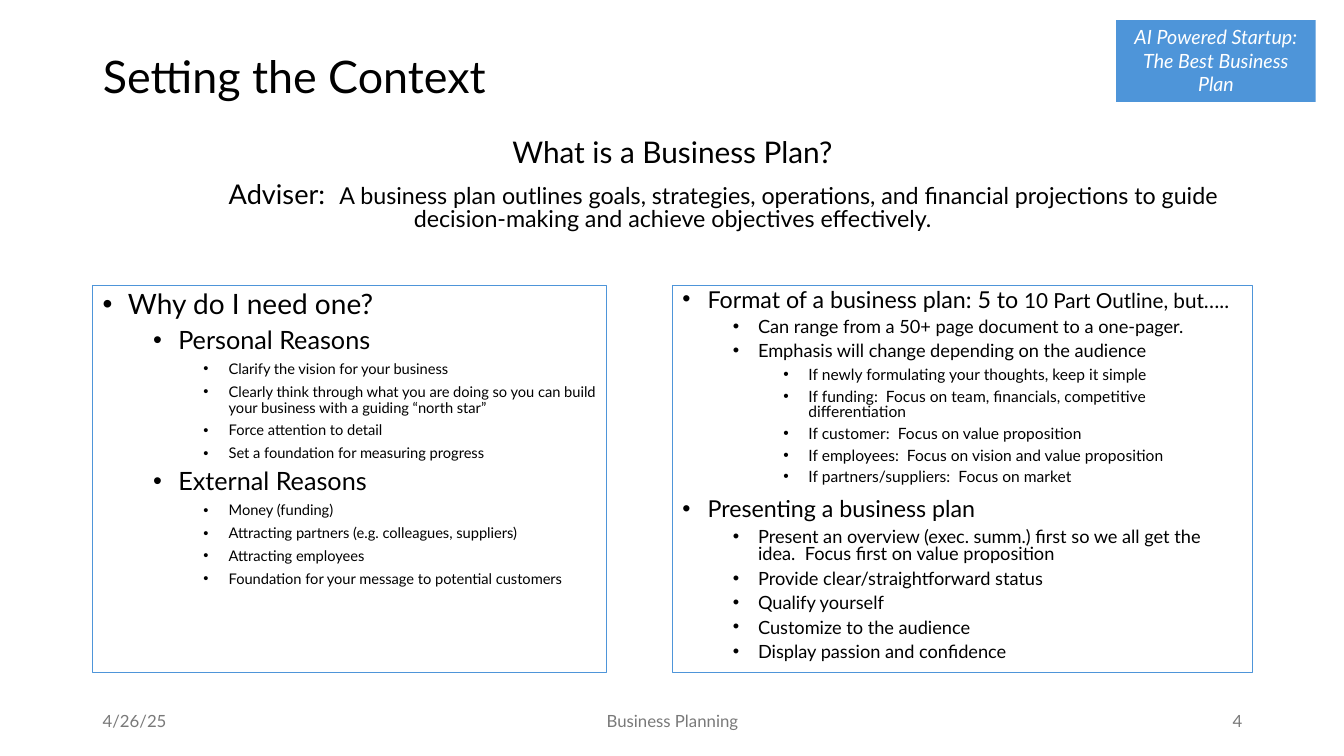
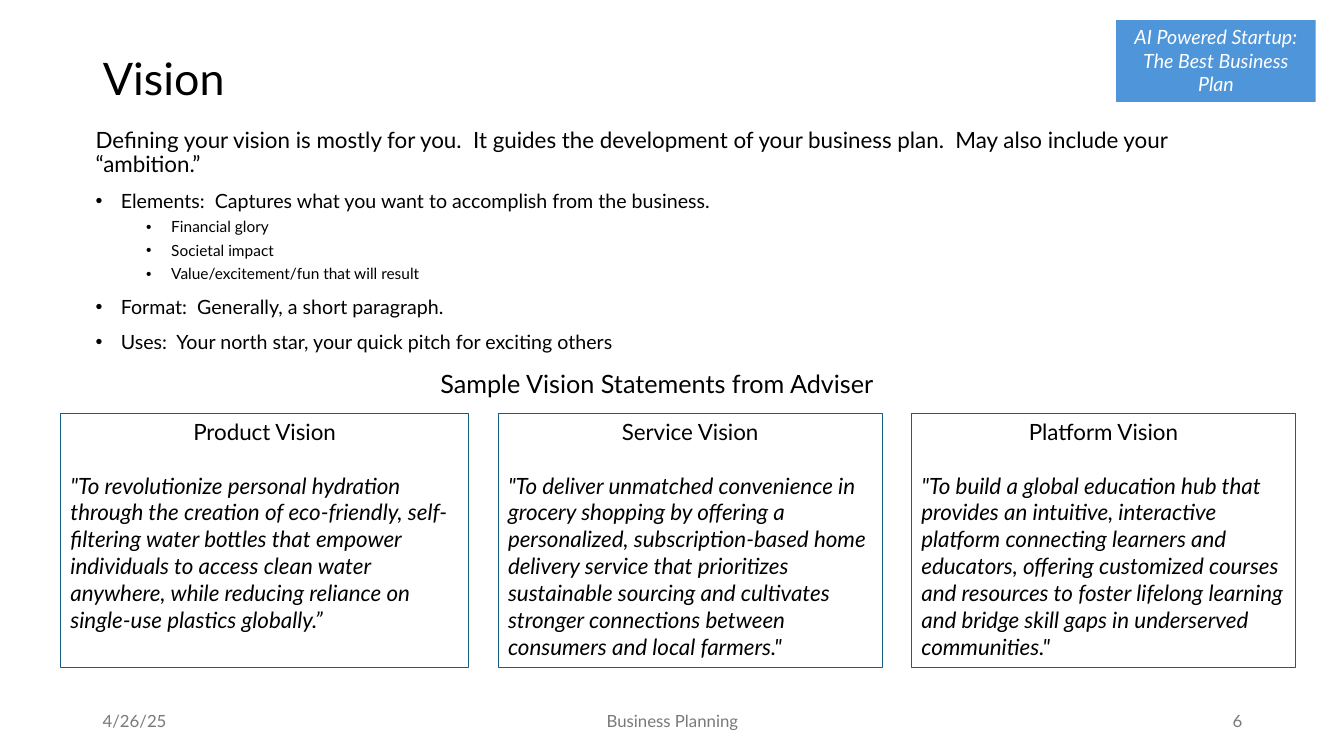
from lxml.etree import SubElement
from pptx import Presentation
from pptx.dml.color import RGBColor
from pptx.enum.shapes import MSO_SHAPE
from pptx.enum.text import MSO_ANCHOR, MSO_AUTO_SIZE, PP_ALIGN
from pptx.oxml.ns import qn
from pptx.util import Inches, Pt

FONT = "Lato"
BLACK = RGBColor(0x00, 0x00, 0x00)
WHITE = RGBColor(0xFF, 0xFF, 0xFF)
GREY = RGBColor(0x79, 0x79, 0x79)
BLUE = RGBColor(0x4E, 0x95, 0xD9)
TEAL = RGBColor(0x15, 0x60, 0x82)
LEFT, CENTER, RIGHT = PP_ALIGN.LEFT, PP_ALIGN.CENTER, PP_ALIGN.RIGHT

BANNER = ["AI Powered Startup:", "The Best Business Plan"]
FOOTER = [(0.92, 3, LEFT), (4.42, 4.5, CENTER), (9.42, 3, RIGHT)]
DATE, TOPIC = "4/26/25", "Business Planning"

QUESTION = "What is a Business Plan?"
ANSWER = [
    ("Adviser:  ", 19.4),
    ("A business plan outlines goals, strategies, operations, and financial "
     "projections to guide decision-making and achieve objectives effectively.", 16.6),
]
REASONS = [
    (0, "Why do I need one?"),
    (1, "Personal Reasons"),
    (2, "Clarify the vision for your business"),
    (2, "Clearly think through what you are doing so you can build your business "
        "with a guiding “north star”"),
    (2, "Force attention to detail"),
    (2, "Set a foundation for measuring progress"),
    (1, "External Reasons"),
    (2, "Money (funding)"),
    (2, "Attracting partners (e.g. colleagues, suppliers)"),
    (2, "Attracting employees"),
    (2, "Foundation for your message to potential customers"),
]
FORMAT = [
    (0, [("Format of a business plan: 5 to ", 16.6), ("10 Part Outline, but…..", 14.8)]),
    (1, "Can range from a 50+ page document to a one-pager."),
    (1, "Emphasis will change depending on the audience"),
    (2, "If newly formulating your thoughts, keep it simple"),
    (2, "If funding:  Focus on team, financials, competitive differentiation"),
    (2, "If customer:  Focus on value proposition"),
    (2, "If employees:  Focus on vision and value proposition"),
    (2, "If partners/suppliers:  Focus on market"),
    (0, "Presenting a business plan"),
    (1, "Present an overview (exec. summ.) first so we all get the idea.  "
        "Focus first on value proposition"),
    (1, "Provide clear/straightforward status"),
    (1, "Qualify yourself"),
    (1, "Customize to the audience"),
    (1, "Display passion and confidence"),
]
PANELS = [
    (0.92, 5.1, REASONS, (20, 18, 10.5), 0.9, 0.1),
    (6.67, 5.75, FORMAT, (16.6, 13, 11.1), 0.8, 0.15),
]

INTRO = ("Defining your vision is mostly for you.  It guides the development of your "
         "business plan.  May also include your “ambition.”")
POINTS = [
    (0, "Elements:  Captures what you want to accomplish from the business."),
    (1, "Financial glory"),
    (1, "Societal impact"),
    (1, "Value/excitement/fun that will result"),
    (0, "Format:  Generally, a short paragraph."),
    (0, "Uses:  Your north star, your quick pitch for exciting others"),
]
SAMPLES = "Sample Vision Statements from Adviser"
CARDS = [
    (4.05, "Product Vision",
     '"To revolutionize personal hydration through the creation of eco-friendly, '
     'self-filtering water bottles that empower individuals to access clean water '
     'anywhere, while reducing reliance on single-use plastics globally.”'),
    (3.81, "Service Vision",
     '"To deliver unmatched convenience in grocery shopping by offering a personalized, '
     'subscription-based home delivery service that prioritizes sustainable sourcing and '
     'cultivates stronger connections between consumers and local farmers."'),
    (3.81, "Platform Vision",
     '"To build a global education hub that provides an intuitive, interactive platform '
     'connecting learners and educators, offering customized courses and resources to '
     'foster lifelong learning and bridge skill gaps in underserved communities."'),
]
CARD_LEFT, CARD_GAP = 0.6, 0.29


def write(frame, text, size=16, color=BLACK, italic=False, align=LEFT,
          spacing=1.0, before=0, level=None, indent=0):
    first = frame.paragraphs[0]
    par = frame.add_paragraph() if first.runs else first
    par.alignment, par.line_spacing, par.space_before = align, spacing, Pt(before)
    props = par._p.get_or_add_pPr()
    if level is not None:
        par.level = level
        props.set("marL", str(Inches(0.25 + 0.5 * level)))
        indent = -0.25
        SubElement(props, qn("a:buFont"), typeface="Arial")
        SubElement(props, qn("a:buChar"), char="•")
    props.set("indent", str(Inches(indent)))
    for words, points in [(text, size)] if isinstance(text, str) else text:
        run = par.add_run()
        run.text = words
        font = run.font
        font.name, font.size, font.italic = FONT, Pt(points), italic
        font.color.rgb = color


def outline(frame, items, sizes, spacing):
    for level, text in items:
        write(frame, text, size=sizes[level], spacing=spacing,
              before=5 if level else 10, level=level)


def area(slide, left, top, width, height, anchor=MSO_ANCHOR.TOP):
    box = slide.shapes.add_textbox(*map(Inches, (left, top, width, height)))
    frame = box.text_frame
    frame.word_wrap, frame.vertical_anchor = True, anchor
    return frame


def panel(slide, left, top, width, height, fill=None, line=None):
    box = slide.shapes.add_shape(
        MSO_SHAPE.RECTANGLE, *map(Inches, (left, top, width, height)))
    box.shadow.inherit = False
    if fill is None:
        box.fill.background()
    else:
        box.fill.solid()
        box.fill.fore_color.rgb = fill
    if line is None:
        box.line.fill.background()
    else:
        box.line.color.rgb, box.line.width = line, Pt(0.75)
    frame = box.text_frame
    frame.word_wrap, frame.vertical_anchor = True, MSO_ANCHOR.TOP
    return frame


def start(deck, title, number, height):
    slide = deck.slides.add_slide(deck.slide_layouts[5])
    head = slide.shapes.title
    head.left, head.top, head.width, head.height = map(Inches, (0.92, 0.4, 11.5, height))
    frame = head.text_frame
    frame.auto_size, frame.vertical_anchor = MSO_AUTO_SIZE.NONE, MSO_ANCHOR.MIDDLE
    write(frame, title, size=32, spacing=0.9)
    banner = panel(slide, 11.07, 0.2, 1.98, 0.81, fill=BLUE)
    for text in BANNER:
        write(banner, text, size=14, color=WHITE, italic=True, align=CENTER)
    for (left, width, align), text in zip(FOOTER, (DATE, TOPIC, number)):
        foot = area(slide, left, 6.95, width, 0.4, anchor=MSO_ANCHOR.MIDDLE)
        write(foot, text, size=12, color=GREY, align=align)
    return slide


def context(deck):
    slide = start(deck, "Setting the Context", "4", 0.77)
    body = area(slide, 0.92, 1.35, 11.5, 1.05)
    write(body, QUESTION, size=21.3, align=CENTER, spacing=0.8, before=10)
    write(body, ANSWER, align=CENTER, spacing=0.8, before=10, indent=1)
    for left, width, items, sizes, spacing, inset in PANELS:
        frame = panel(slide, left, 2.83, width, 3.84, line=BLUE)
        frame.margin_right = Inches(inset)
        outline(frame, items, sizes, spacing)


def vision(deck):
    slide = start(deck, "Vision", "6", 0.81)
    body = area(slide, 0.85, 1.23, 11.85, 2.27)
    write(body, INTRO, spacing=0.9, before=10)
    outline(body, POINTS, (14, 11), 0.9)
    write(area(slide, 4.27, 3.61, 5, 0.4), SAMPLES, size=18)
    left = CARD_LEFT
    for width, name, quote in CARDS:
        card = panel(slide, left, 4.1, width, 2.52, line=TEAL)
        write(card, name, align=CENTER)
        write(card, quote, italic=True, before=19)
        left += width + CARD_GAP


def main():
    deck = Presentation()
    deck.slide_width, deck.slide_height = Inches(13.33), Inches(7.5)
    context(deck)
    vision(deck)
    deck.save("out.pptx")


if __name__ == "__main__":
    main()
